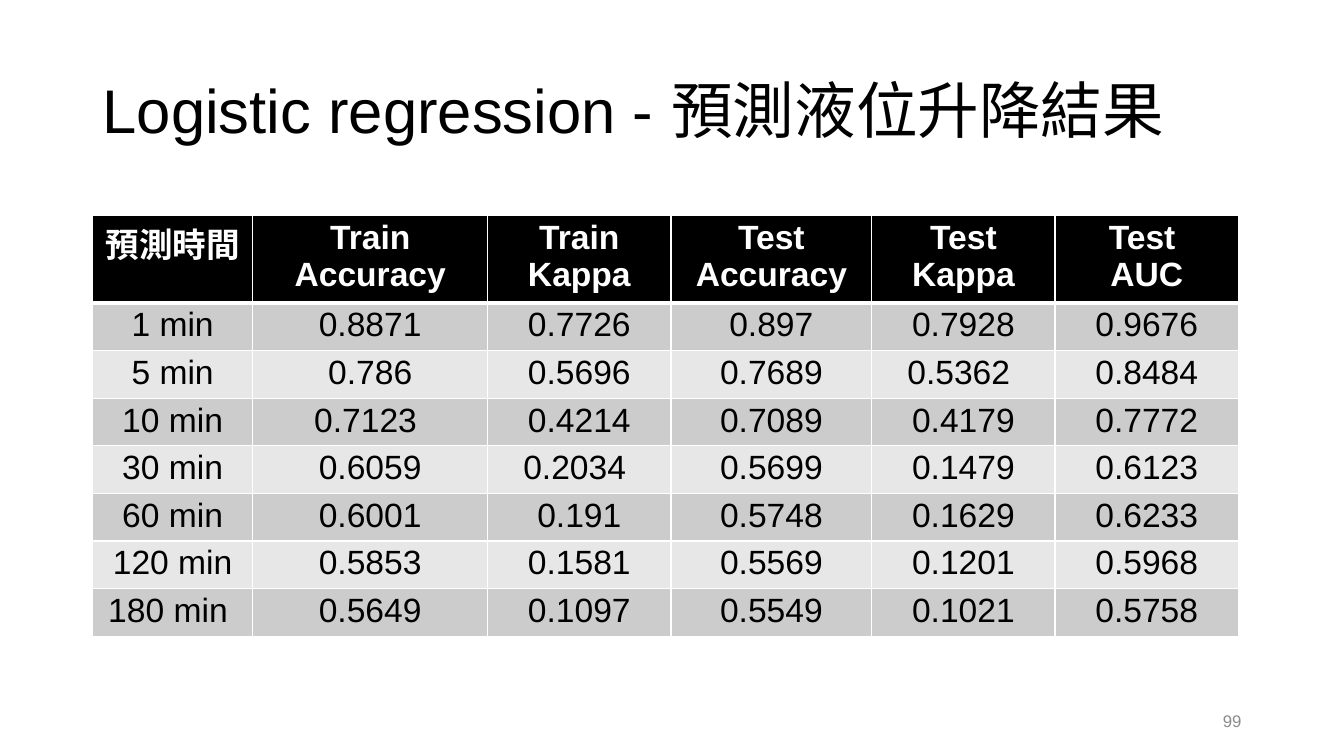
from lxml.etree import SubElement
from pptx import Presentation
from pptx.dml.color import RGBColor
from pptx.enum.text import MSO_ANCHOR, PP_ALIGN
from pptx.oxml.ns import qn
from pptx.util import Cm, Pt

HEADS = ["預測時間", "Train Accuracy", "Train Kappa",
         "Test Accuracy", "Test Kappa", "Test \nAUC"]
SCORES = [
    ["1 min", "0.8871", "0.7726", "0.897", "0.7928", "0.9676"],
    ["5 min", "0.786", "0.5696", "0.7689", "0.5362 ", "0.8484"],
    ["10 min", "0.7123 ", "0.4214", "0.7089", "0.4179", "0.7772"],
    ["30 min", "0.6059", "0.2034 ", "0.5699", "0.1479", "0.6123"],
    ["60 min", "0.6001", "0.191", "0.5748", "0.1629", "0.6233"],
    ["120 min", "0.5853", "0.1581", "0.5569", "0.1201", "0.5968"],
    ["180 min ", "0.5649", "0.1097", "0.5549", "0.1021", "0.5758"],
]
WIDTHS = [4.04, 5.92, 4.62, 5.06, 4.62, 4.62]
HEAD_H, ROW_H = 2.11, 1.2


def paint(target, color):
    """Give a fill a solid colour."""
    target.solid()
    target.fore_color.rgb = RGBColor.from_string(color)


def write(frame, text, size, color, align, bold=False):
    frame.text = text
    for para in frame.paragraphs:
        para.alignment = align
        font = para.font
        font.name, font.size, font.bold = "Arial", Pt(size), bold
        paint(font.fill, color)


def edge(cell, side, points):
    """Draw a white border on one side of a cell."""
    line = SubElement(cell._tc.get_or_add_tcPr(), qn(f"a:ln{side}"),
                      w=str(Pt(points)))
    fill = SubElement(line, qn("a:solidFill"))
    SubElement(fill, qn("a:srgbClr"), val="FFFFFF")


def add_title(slide, left, top, width, height):
    title = slide.shapes.title
    title.left, title.top = Cm(left), Cm(top)
    title.width, title.height = Cm(width), Cm(height)
    frame = title.text_frame
    frame.vertical_anchor = MSO_ANCHOR.MIDDLE
    write(frame, "Logistic regression - 預測液位升降結果", 44, "000000",
          PP_ALIGN.LEFT)
    frame.paragraphs[0].line_spacing = 0.9


def add_scores(slide, left, top):
    rows = [HEADS] + SCORES
    height = HEAD_H + ROW_H * len(SCORES)
    table = slide.shapes.add_table(
        len(rows), len(HEADS), Cm(left), Cm(top),
        Cm(sum(WIDTHS)), Cm(height)).table
    for col, width in zip(table.columns, WIDTHS):
        col.width = Cm(width)
    for r, row in enumerate(rows):
        head = r == 0
        table.rows[r].height = Cm(HEAD_H if head else ROW_H)
        back = "000000" if head else "CCCCCC" if r % 2 else "E7E7E7"
        ink = "FFFFFF" if head else "000000"
        for c, text in enumerate(row):
            cell = table.cell(r, c)
            cell.margin_top = cell.margin_bottom = Cm(0.09)
            write(cell.text_frame, text, 24, ink, PP_ALIGN.CENTER, head)
            edge(cell, "L", 1)
            edge(cell, "R", 1)
            edge(cell, "T", 3 if r == 1 else 1)
            edge(cell, "B", 3 if head else 1)
            paint(cell.fill, back)


def add_number(slide, left, top, width, height):
    box = slide.shapes.add_textbox(Cm(left), Cm(top), Cm(width), Cm(height))
    frame = box.text_frame
    frame.word_wrap = True
    frame.vertical_anchor = MSO_ANCHOR.MIDDLE
    write(frame, "99", 12, "8C8C8C", PP_ALIGN.RIGHT)


def main():
    deck = Presentation()
    deck.slide_width, deck.slide_height = Cm(33.87), Cm(19.05)
    slide = deck.slides.add_slide(deck.slide_layouts[5])
    add_title(slide, 2.33, 1.01, 29.21, 3.68)
    add_number(slide, 23.92, 17.66, 7.62, 1.01)
    add_scores(slide, 2.33, 5.42)
    deck.save("out.pptx")


if __name__ == "__main__":
    main()
